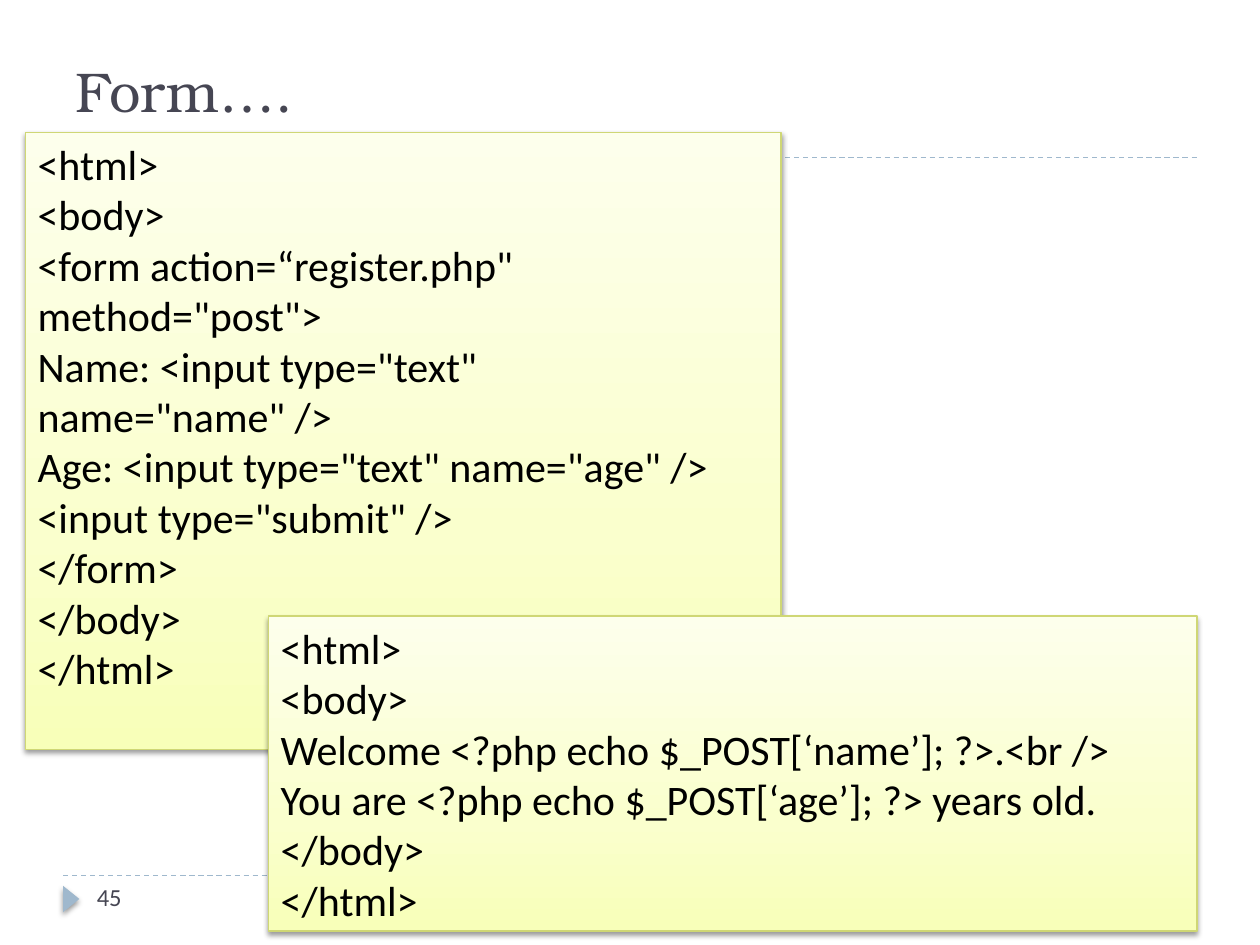
import pptx
import pptx.dml.color
import pptx.enum.dml
import pptx.enum.shapes
import pptx.enum.text
import pptx.oxml
import pptx.oxml.ns
import pptx.util

THEME = {
    "heading_font": "TeX Gyre Bonum", "body_font": "Calibri",
    "title_size": 32, "code_size": 24, "number_size": 14,
    "ink": "464653", "code": "000000", "accent": "9FB8CD",
    "panel_line": "CFD775", "line_width": 0.75,
    "panel_gradient": [(0, "F8FFB9"), (35, "FAFFCD"), (100, "FDFFEC")],
}
NAMESPACE = pptx.oxml.ns.nsdecls("a")
SHADOW = (
    f'<a:effectLst {NAMESPACE}><a:outerShdw blurRad="38100" dist="25400" dir="5400000" '
    'rotWithShape="0"><a:srgbClr val="000000"><a:alpha val="40000"/></a:srgbClr>'
    "</a:outerShdw></a:effectLst>"
)
STOPS = "".join(
    f'<a:gs pos="{position * 1000}"><a:srgbClr val="{color}"/></a:gs>'
    for position, color in THEME["panel_gradient"]
)
GRADIENT = (
    f'<a:gradFill {NAMESPACE} rotWithShape="1"><a:gsLst>{STOPS}</a:gsLst>'
    '<a:lin ang="16200000" scaled="0"/></a:gradFill>'
)
rgb = pptx.dml.color.RGBColor.from_string


def write_text(shape, text, *, size, color, font=THEME["body_font"], anchor="TOP"):
    """Fill the shape with one paragraph for each line of text."""
    frame = shape.text_frame
    frame.text = text
    frame.word_wrap = True
    frame.auto_size = pptx.enum.text.MSO_AUTO_SIZE.NONE
    frame.vertical_anchor = pptx.enum.text.MSO_ANCHOR[anchor]
    for paragraph in frame.paragraphs:
        paragraph.alignment = pptx.enum.text.PP_ALIGN.LEFT
        for run in paragraph.runs:
            run.font.size = pptx.util.Pt(size)
            run.font.name = font
            run.font.color.rgb = rgb(color)


presentation = pptx.Presentation()
presentation.slide_width = pptx.util.Inches(10)
presentation.slide_height = pptx.util.Inches(7.5)
column = presentation.slide_width / 100
row = presentation.slide_height / 75


def grid(left, top, width, height):
    """Turn columns and rows into slide lengths."""
    return [round(length) for length in (left * column, top * row, width * column, height * row)]


slide = presentation.slides.add_slide(presentation.slide_layouts[5])

# Dashed rules above the content and above the footer
for rule_row in (69.5, 12.5):
    left, top, width, _ = grid(5, rule_row, 90, 0)
    rule = slide.shapes.add_connector(
        pptx.enum.shapes.MSO_CONNECTOR.STRAIGHT, left, top, left + width, top)
    rule.line.color.rgb = rgb(THEME["accent"])
    rule.line.width = pptx.util.Pt(THEME["line_width"])
    rule.line.dash_style = pptx.enum.dml.MSO_LINE.DASH
    rule.element.spPr.append(pptx.oxml.parse_xml(f"<a:effectLst {NAMESPACE}/>"))

# Footer marker and slide number
marker = slide.shapes.add_shape(
    pptx.enum.shapes.MSO_SHAPE.ISOSCELES_TRIANGLE, *grid(4.6, 70.7, 2.1, 1.3))
marker.rotation = 90
marker.fill.solid()
marker.fill.fore_color.rgb = rgb(THEME["accent"])
marker.line.fill.background()
marker.element.spPr.append(pptx.oxml.parse_xml(SHADOW))

slide_number = slide.shapes.add_textbox(*grid(6.7, 69.5, 21.7, 4))
write_text(slide_number, "45", size=THEME["number_size"], color=THEME["ink"])

title = slide.shapes.title
title.left, title.top, title.width, title.height = grid(5, 1.7, 90, 8.6)
write_text(title, "Form….", size=THEME["title_size"], color=THEME["ink"],
           font=THEME["heading_font"], anchor="BOTTOM")

# Code panels: the form, then the page that answers it
form_code = """<html>
<body>
<form action=“register.php" method="post">
Name: <input type="text" name="name" />
Age: <input type="text" name="age" />
<input type="submit" />
</form>
</body>
</html>"""
answer_code = """<html>
<body>
Welcome <?php echo $_POST[‘name’]; ?>.<br />
You are <?php echo $_POST[‘age’]; ?> years old.
</body>
</html>"""

for code, area in ((form_code, (2, 10.5, 60, 49)), (answer_code, (21.3, 48.9, 73.7, 25))):
    panel = slide.shapes.add_shape(pptx.enum.shapes.MSO_SHAPE.RECTANGLE, *grid(*area))
    panel.line.color.rgb = rgb(THEME["panel_line"])
    panel.line.width = pptx.util.Pt(THEME["line_width"])
    properties = panel.element.spPr
    properties.insert(2, pptx.oxml.parse_xml(GRADIENT))
    properties.append(pptx.oxml.parse_xml(SHADOW))
    write_text(panel, code, size=THEME["code_size"], color=THEME["code"])

presentation.save("out.pptx")
